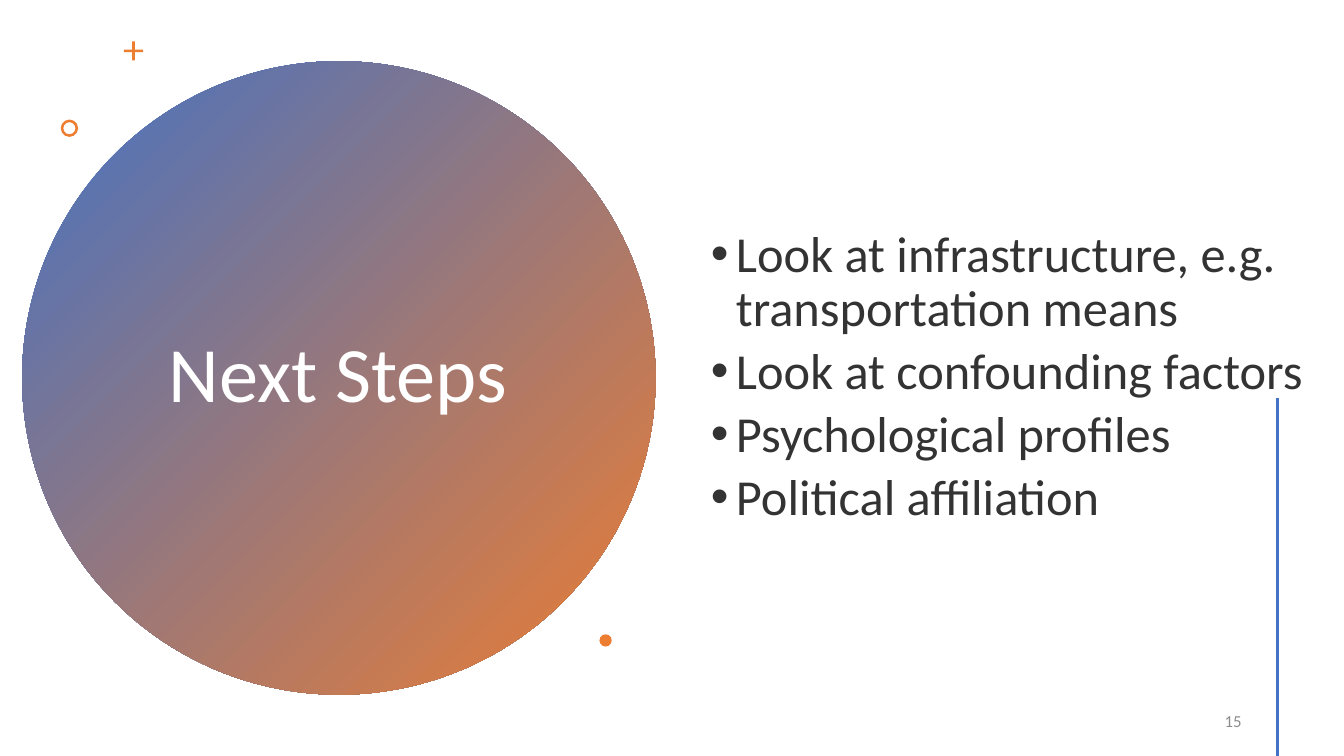
"""Build the "Next Steps" slide with a gradient circle and a bulleted list."""
from pptx import Presentation
from pptx.dml.color import RGBColor
from pptx.enum.shapes import MSO_CONNECTOR as CONN, MSO_SHAPE as SHAPE
from pptx.enum.text import MSO_ANCHOR as ANCHOR, MSO_AUTO_SIZE as AUTO, PP_ALIGN as ALIGN
from pptx.oxml.ns import qn
from pptx.util import Pt
from lxml import etree

BLUE = RGBColor(0x44, 0x72, 0xC4)
ORANGE = RGBColor(0xED, 0x7D, 0x31)
WHITE = RGBColor(0xFF, 0xFF, 0xFF)
DARK = RGBColor(0x33, 0x33, 0x33)
GRAY = RGBColor(0x8C, 0x8C, 0x8C)
FONT = "Calibri"

STEPS = [
    "Look at infrastructure, e.g. transportation means",
    "Look at confounding factors",
    "Psychological profiles",
    "Political affiliation",
]
ORNAMENTS = [
    (SHAPE.CROSS, 88.5, 29.5, 13.7, 0.43),
    (SHAPE.DONUT, 43.4, 85.4, 12.4, 0.15),
    (SHAPE.OVAL, 428.2, 453.1, 8.8, None),
]


def set_all(obj, values):
    for name, value in values.items():
        setattr(obj, name, value)


def place(sp, left, top, width, height):
    set_all(sp, {"left": Pt(left), "top": Pt(top), "width": Pt(width), "height": Pt(height)})


def write(sp, lines, size, color, **para):
    tf = sp.text_frame
    set_all(tf, {"text": "\n".join(lines), "word_wrap": True,
                 "auto_size": AUTO.NONE, "vertical_anchor": ANCHOR.MIDDLE})
    for p in tf.paragraphs:
        set_all(p, para)
        for r in p.runs:
            set_all(r.font, {"name": FONT, "size": Pt(size)})
            r.font.color.rgb = color


def add_shape(s, kind, left, top, size):
    sp = s.shapes.add_shape(kind, Pt(left), Pt(top), Pt(size), Pt(size))
    sp.shadow.inherit = False
    sp.line.fill.background()
    return sp


def add_circle(s):
    fill = add_shape(s, SHAPE.OVAL, 15.8, 43.7, 452.5).fill
    fill.gradient()
    fill.gradient_angle = 315
    for stop, color in zip(fill.gradient_stops, (BLUE, ORANGE)):
        stop.color.rgb = color


def add_ornament(s, kind, left, top, size, adjustment):
    sp = add_shape(s, kind, left, top, size)
    sp.fill.solid()
    sp.fill.fore_color.rgb = ORANGE
    if adjustment is not None:
        sp.adjustments[0] = adjustment


def add_title(s, text):
    sp = s.shapes.title
    s.shapes._spTree.append(sp._element)
    place(sp, 97.9, 101.5, 287.3, 336.2)
    write(sp, [text], 56, WHITE, alignment=ALIGN.CENTER, line_spacing=0.9)


def add_list(s, lines):
    sp = s.placeholders[1]
    place(sp, 496, 67, 448.6, 405)
    write(sp, lines, 36, DARK, line_spacing=0.9, space_before=Pt(0), space_after=Pt(6))
    for p in sp.text_frame.paragraphs:
        pPr = p._p.get_or_add_pPr()
        pPr.set("marL", str(Pt(22.5)))
        pPr.set("indent", str(Pt(-18)))


def add_accent_line(s):
    line = s.shapes.add_connector(CONN.STRAIGHT, Pt(912.4), Pt(284), Pt(912.4), Pt(540))
    line.line.color.rgb = BLUE
    line.line.width = Pt(2)
    etree.SubElement(line._element.spPr, qn("a:effectLst"))


def add_page_number(s, number):
    sp = s.shapes.add_textbox(Pt(678), Pt(500.5), Pt(216), Pt(28.8))
    write(sp, [number], 12, GRAY, alignment=ALIGN.RIGHT)


def main():
    prs = Presentation()
    set_all(prs, {"slide_width": Pt(960), "slide_height": Pt(540)})
    s = prs.slides.add_slide(prs.slide_layouts[1])
    add_circle(s)
    add_title(s, "Next Steps")
    add_list(s, STEPS)
    for ornament in ORNAMENTS:
        add_ornament(s, *ornament)
    add_accent_line(s)
    add_page_number(s, "15")
    prs.save("out.pptx")


if __name__ == "__main__":
    main()
